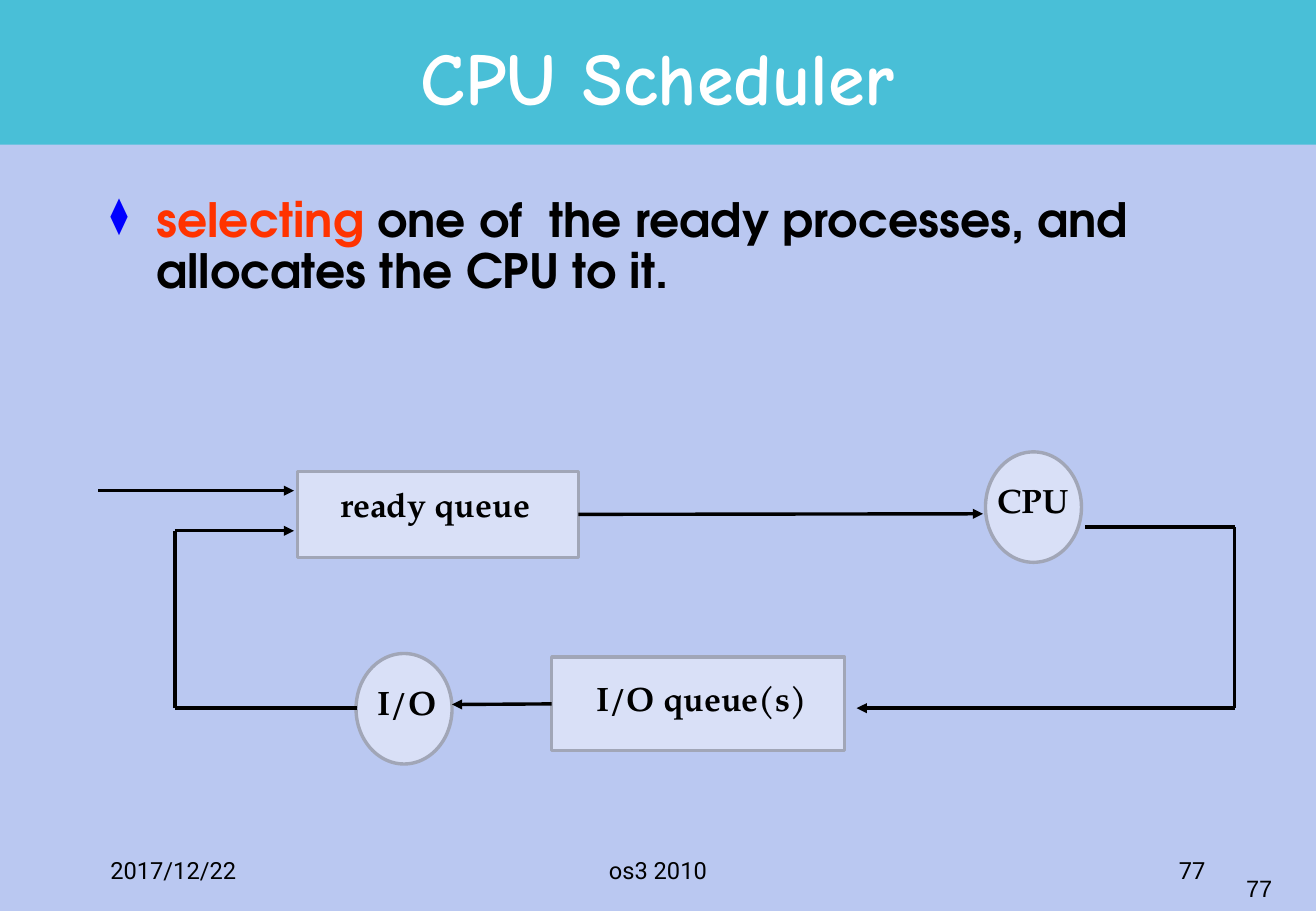
from lxml.etree import SubElement
from pptx import Presentation
from pptx.dml.color import RGBColor
from pptx.enum.shapes import MSO_CONNECTOR, MSO_SHAPE
from pptx.enum.text import MSO_ANCHOR, PP_ALIGN
from pptx.oxml.ns import qn
from pptx.util import Inches, Pt

BLACK, WHITE = "000000", "FFFFFF"
LEFT, CENTER, RIGHT = PP_ALIGN.LEFT, PP_ALIGN.CENTER, PP_ALIGN.RIGHT
TOP, MIDDLE, BOTTOM = MSO_ANCHOR.TOP, MSO_ANCHOR.MIDDLE, MSO_ANCHOR.BOTTOM
RECT, OVAL = MSO_SHAPE.RECTANGLE, MSO_SHAPE.OVAL


def color(text):
    return RGBColor.from_string(text)


class Board:
    band, node, edge = "49BFD7", "D9E0F7", "A1A6B7"
    width = Pt(2)

    def __init__(self, slide):
        self.slide = slide
        self.shapes = slide.shapes
        fill = slide.background.fill
        fill.solid()
        fill.fore_color.rgb = color("BAC8F1")

    def shape(self, kind, box, fill, line=None):
        item = self.shapes.add_shape(kind, *map(Inches, box))
        item.shadow.inherit = False
        item.fill.solid()
        item.fill.fore_color.rgb = color(fill)
        if line:
            item.line.color.rgb = color(line)
            item.line.width = self.width
        else:
            item.line.fill.background()
        return item

    def text(self, box, runs, font, size, bold=False, align=LEFT,
             anchor=TOP, space=1.0, bullet=None):
        """Add one paragraph made of (words, colour) runs."""
        frame = self.shapes.add_textbox(*map(Inches, box)).text_frame
        frame.word_wrap = True
        frame.vertical_anchor = anchor
        para = frame.paragraphs[0]
        if bullet:
            self.bullet(para, bullet)
        para.alignment = align
        para.line_spacing = space
        para.font.name, para.font.size, para.font.bold = font, Pt(size), bold
        for words, tint in runs:
            run = para.add_run()
            run.text = words
            run.font.color.rgb = color(tint)

    def bullet(self, para, mark):
        props = para._p.get_or_add_pPr()
        props.set("marL", str(Inches(0.38)))
        props.set("indent", str(-Inches(0.38)))
        tint = SubElement(props, qn("a:buClr"))
        SubElement(tint, qn("a:srgbClr"), val="0000FF")
        SubElement(props, qn("a:buSzPct"), val="75000")
        SubElement(props, qn("a:buChar"), char=mark)

    def line(self, start, end, arrow=False):
        item = self.shapes.add_connector(
            MSO_CONNECTOR.STRAIGHT, *map(Inches, start + end))
        item.line.color.rgb = color(BLACK)
        item.line.width = self.width
        props = item._element.spPr
        if arrow:
            SubElement(props.find(qn("a:ln")), qn("a:tailEnd"), type="triangle")
        SubElement(props, qn("a:effectLst"))
        return item


def main():
    deck = Presentation()
    deck.slide_width, deck.slide_height = Inches(10.83), Inches(7.5)
    board = Board(deck.slides.add_slide(deck.slide_layouts[6]))

    board.shape(RECT, (0, 0, 10.83, 1.19), board.band)
    board.text((0.81, 0.19, 9.21, 0.99), [("CPU Scheduler", WHITE)],
               "Comic Neue", 44, True, CENTER, MIDDLE, 0.85)
    board.text((0.81, 1.57, 9.21, 5.56),
               [("selecting", "FF3300"),
                (" one of  the ready processes, and allocates the CPU to it.",
                 BLACK)],
               "TeX Gyre Adventor", 28, True, space=0.9, bullet="⧫")

    footer = [
        ("2017/12/22", (0.81, 6.83, 2.26, 0.5), LEFT, BOTTOM, "Roboto"),
        ("os3 2010", (3.7, 6.83, 3.43, 0.5), CENTER, BOTTOM, "Roboto"),
        ("77", (7.76, 6.83, 2.26, 0.5), RIGHT, BOTTOM, "Roboto"),
        ("77", (8.31, 7.12, 2.26, 0.38), RIGHT, MIDDLE, "Arial"),
    ]
    for words, box, align, anchor, font in footer:
        board.text(box, [(words, BLACK)], font, 14, align=align, anchor=anchor)

    nodes = [
        ("ready queue", RECT, (2.45, 3.88, 2.31, 0.71), (2.7, 3.97, 2.03, 0.5)),
        ("I/O queue(s)", RECT, (4.54, 5.41, 2.41, 0.77), (4.81, 5.57, 2.05, 0.5)),
        ("I/O", OVAL, (2.93, 5.38, 0.79, 0.91), (3.01, 5.6, 0.8, 0.5)),
        ("CPU", OVAL, (8.11, 3.72, 0.79, 0.91), (8.11, 3.94, 0.9, 0.5)),
    ]
    made = {}
    for name, kind, box, label in nodes:
        made[name] = board.shape(kind, box, board.node, board.edge)
        board.text(label, [(name, BLACK)], "TeX Gyre Pagella", 20, True,
                   space=0.9)

    ready = board.line((4.76, 4.23), (8.09, 4.23), True)
    ready.begin_connect(made["ready queue"], 3)
    wait = board.line((4.54, 5.8), (3.72, 5.8), True)
    wait.begin_connect(made["I/O queue(s)"], 1)

    right, low, back = 10.16, 5.83, 1.44
    board.line((8.93, 4.34), (right, 4.34))
    board.line((right, 4.34), (right, low))
    board.line((right, low), (7.05, low), True)
    board.line((2.94, low), (back, low))
    board.line((back, low), (back, 4.37))
    board.line((back, 4.37), (2.42, 4.37), True)
    board.line((0.81, 4.04), (2.42, 4.04), True)

    deck.save("out.pptx")


if __name__ == "__main__":
    main()
